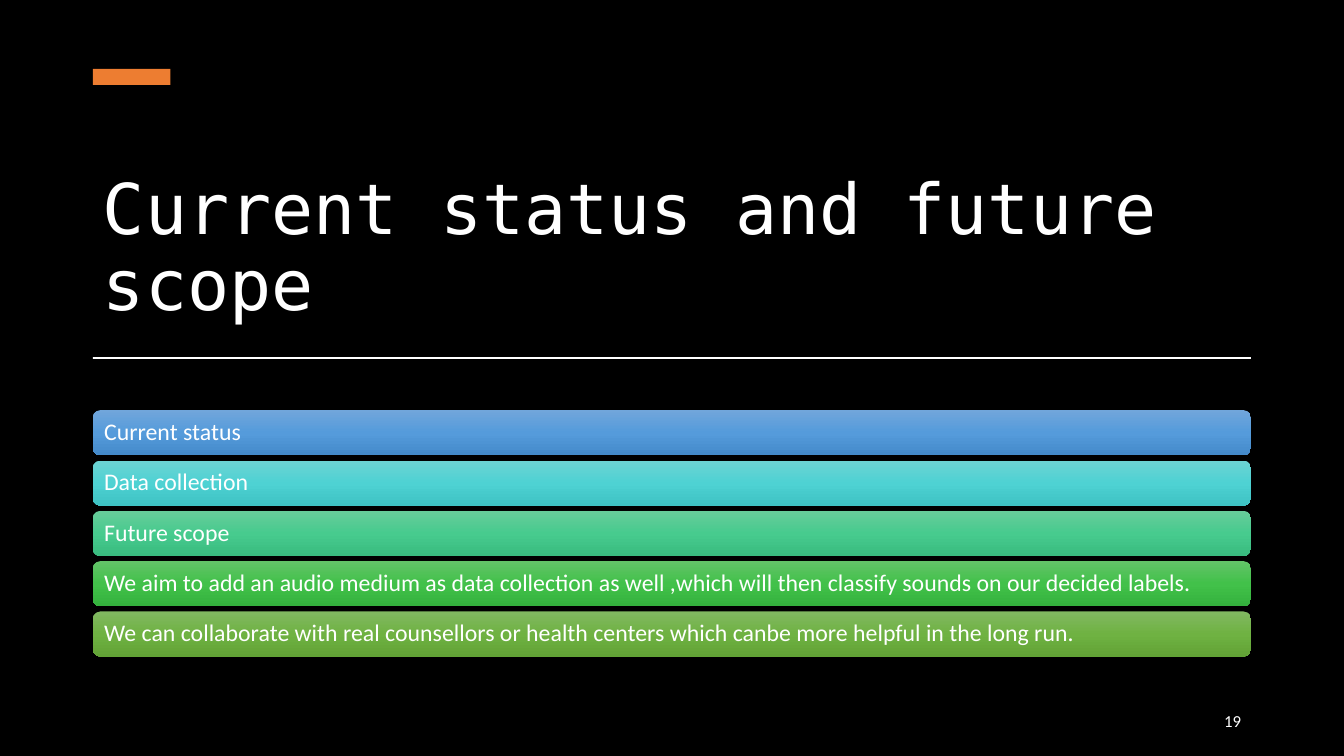
from copy import deepcopy
from dataclasses import dataclass

from pptx import Presentation
from pptx.dml.color import RGBColor
from pptx.enum.shapes import MSO_SHAPE
from pptx.enum.text import MSO_ANCHOR, MSO_AUTO_SIZE, PP_ALIGN
from pptx.oxml.ns import qn
from pptx.shapes.autoshape import Shape
from pptx.slide import Slide
from pptx.text.text import TextFrame
from pptx.util import Pt

RECTANGLE = MSO_SHAPE.RECTANGLE
ROUNDED = MSO_SHAPE.ROUNDED_RECTANGLE
LEFT, RIGHT = PP_ALIGN.LEFT, PP_ALIGN.RIGHT
MIDDLE, BOTTOM = MSO_ANCHOR.MIDDLE, MSO_ANCHOR.BOTTOM
NO_FIT = MSO_AUTO_SIZE.NONE
TITLE_ONLY = 5


@dataclass(frozen=True)
class Theme:
    background: str = "000000"
    text: str = "FFFFFF"
    accent: str = "ED7D31"
    title_font: str = "DejaVu Sans Mono"
    body_font: str = "Calibri"
    title_size: float = 50
    bar_size: float = 17
    number_size: float = 12


@dataclass(frozen=True)
class Area:
    left: float
    top: float
    width: float
    height: float


@dataclass(frozen=True)
class Bar:
    text: str
    gradient: tuple[str, str, str]


THEME = Theme()
MARGIN, CONTENT_WIDTH = 66.3, 827.3
BARS_TOP, BAR_PITCH, BAR_HEIGHT = 293, 35.95, 32.2
BAR_INSET = 6.5

BARS = (
    Bar("Current status", ("71A6DB", "559BDB", "448ACA")),
    Bar("Data collection", ("6CD3D3", "4ED2D3", "3EC2C3")),
    Bar("Future scope", ("67CC9A", "47CB8E", "39BB7F")),
    Bar(
        "We aim to add an audio medium as data collection as well ,"
        "which will then classify sounds on our decided labels.",
        ("63C368", "42C14A", "34B23D"),
    ),
    Bar(
        "We can collaborate with real counsellors or health centers "
        "which canbe more helpful in the long run.",
        ("81B861", "6FB242", "62A336"),
    ),
)


def color(value: str) -> RGBColor:
    return RGBColor.from_string(value)


def bounds(area: Area) -> tuple[Pt, Pt, Pt, Pt]:
    return Pt(area.left), Pt(area.top), Pt(area.width), Pt(area.height)


def write(frame: TextFrame, text: str, font: str, size: float,
          align: PP_ALIGN, anchor: MSO_ANCHOR, spacing: float = 1) -> None:
    frame.word_wrap = True
    frame.auto_size = NO_FIT
    frame.vertical_anchor = anchor
    para = frame.paragraphs[0]
    para.alignment = align
    para.line_spacing = spacing
    span = para.add_run()
    span.text = text
    span.font.name = font
    span.font.size = Pt(size)
    span.font.color.rgb = color(THEME.text)


def add_box(page: Slide, kind: MSO_SHAPE, area: Area) -> Shape:
    box = page.shapes.add_shape(kind, *bounds(area))
    box.shadow.inherit = False
    box.line.fill.background()
    return box


def add_block(page: Slide, area: Area, fill: str) -> None:
    box = add_box(page, RECTANGLE, area)
    box.fill.solid()
    box.fill.fore_color.rgb = color(fill)


def add_bar(page: Slide, bar: Bar, top: float) -> None:
    box = add_box(page, ROUNDED, Area(MARGIN, top, CONTENT_WIDTH, BAR_HEIGHT))
    box.fill.gradient()
    box.fill.gradient_angle = 270
    stop_list = box.fill._xPr.find(qn("a:gradFill")).find(qn("a:gsLst"))
    stop_list.append(deepcopy(stop_list[0]))
    for index, (stop, value) in enumerate(zip(box.fill.gradient_stops, bar.gradient)):
        stop.position = index / 2
        stop.color.rgb = color(value)
    frame = box.text_frame
    frame.margin_left = frame.margin_right = Pt(BAR_INSET)
    frame.margin_top = frame.margin_bottom = Pt(BAR_INSET)
    write(frame, bar.text, THEME.body_font, THEME.bar_size, LEFT, MIDDLE, 0.9)


def add_title(page: Slide, text: str, area: Area) -> None:
    title = page.shapes.title
    title.left, title.top, title.width, title.height = bounds(area)
    write(title.text_frame, text, THEME.title_font, THEME.title_size, LEFT, BOTTOM, 0.9)


def add_page_number(page: Slide, text: str, area: Area) -> None:
    box = page.shapes.add_textbox(*bounds(area))
    write(box.text_frame, text, THEME.body_font, THEME.number_size, RIGHT, MIDDLE)
    box.text_frame.paragraphs[0].space_after = Pt(6)


def main() -> None:
    deck = Presentation()
    deck.slide_width, deck.slide_height = Pt(960), Pt(540)
    page = deck.slides.add_slide(deck.slide_layouts[TITLE_ONLY])
    page.background.fill.solid()
    page.background.fill.fore_color.rgb = color(THEME.background)

    add_title(page, "Current status and future scope", Area(MARGIN, 74.2, CONTENT_WIDTH, 162))
    add_block(page, Area(MARGIN, 49.2, 55.4, 11.5), THEME.accent)
    add_block(page, Area(MARGIN, 255, CONTENT_WIDTH, 1.44), THEME.text)
    add_page_number(page, "19", Area(697.7, 500.4, 195.9, 28.8))
    for index, bar in enumerate(BARS):
        add_bar(page, bar, BARS_TOP + index * BAR_PITCH)

    deck.save("out.pptx")


if __name__ == "__main__":
    main()
